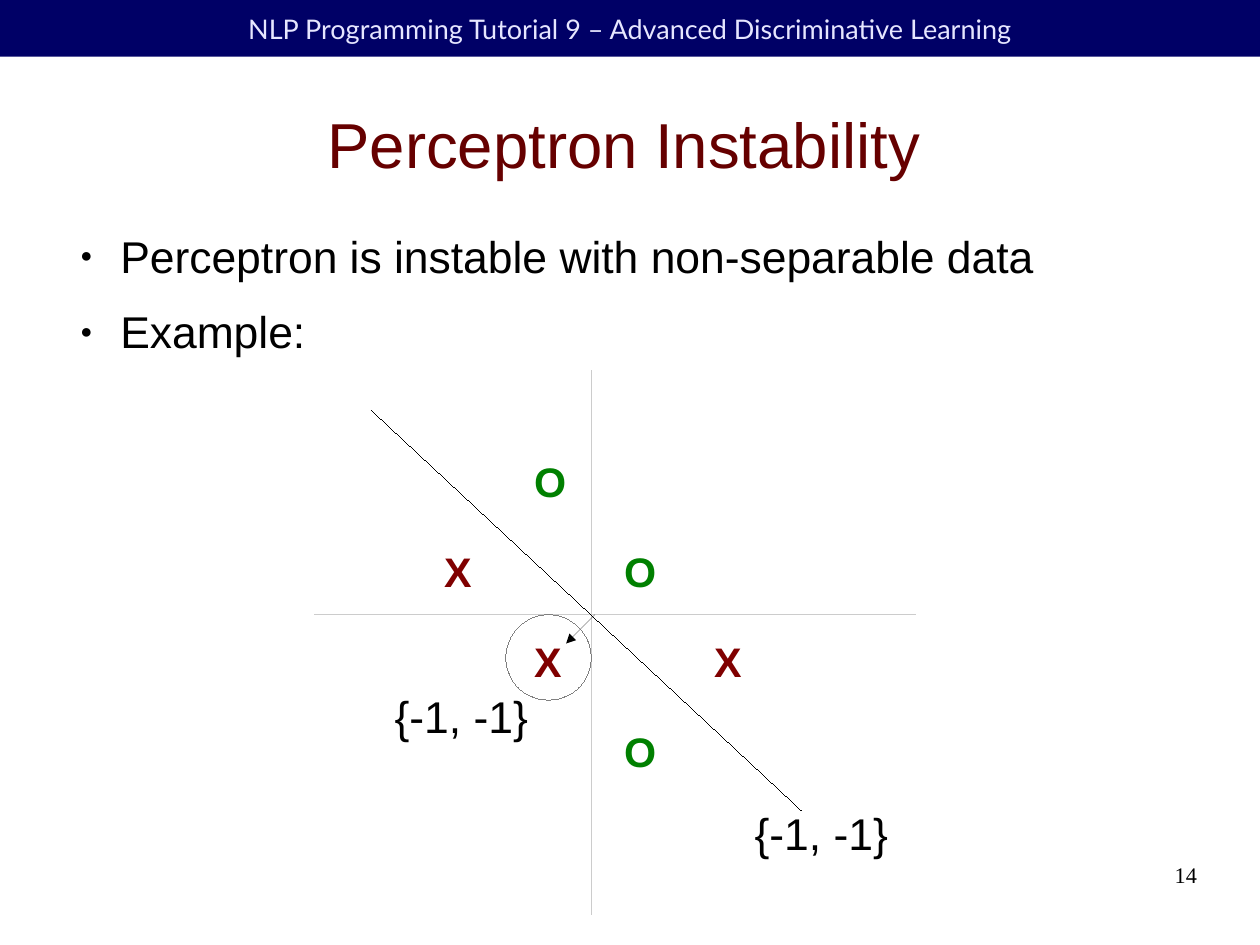
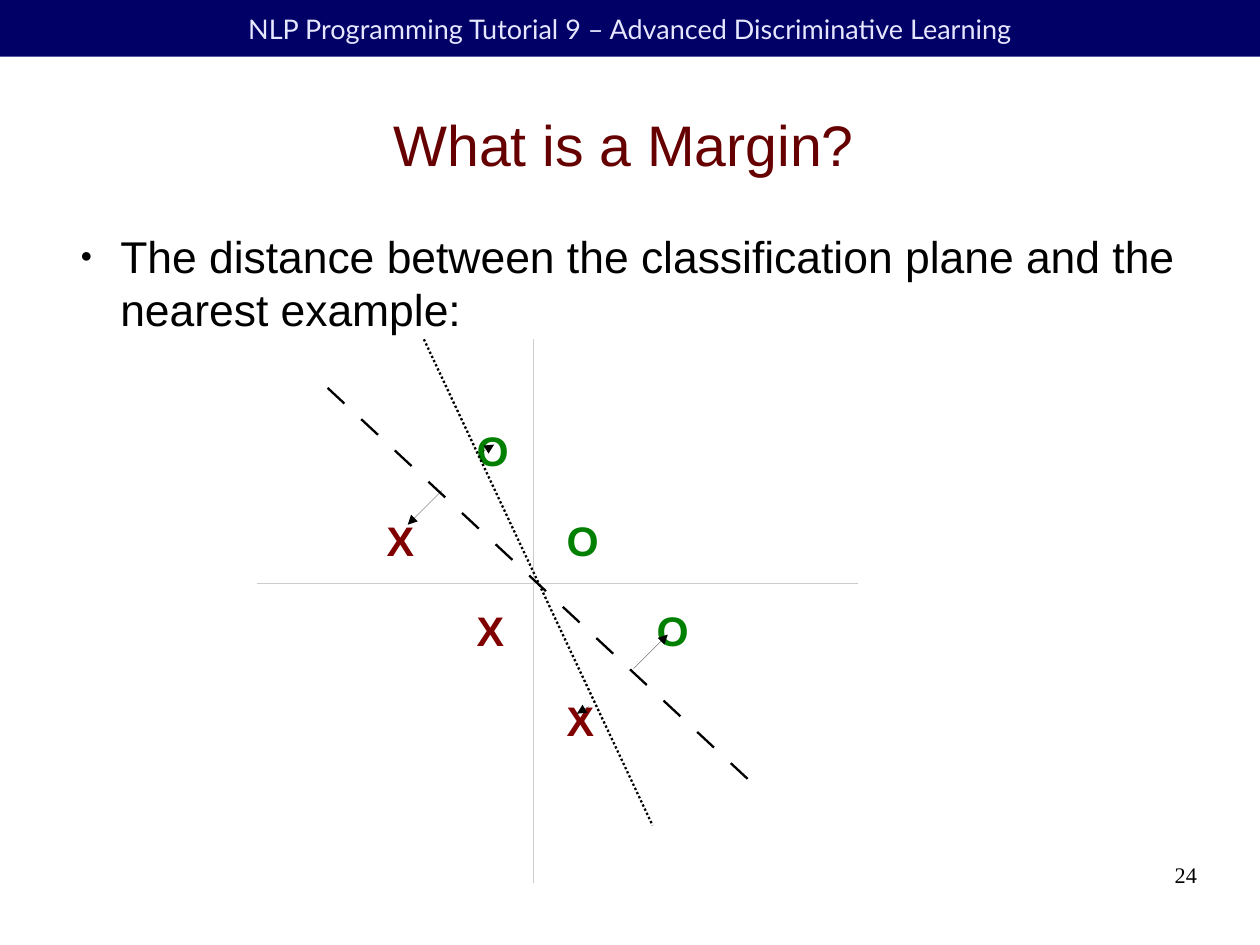
from dataclasses import dataclass
from typing import Optional

from lxml import etree
from pptx import Presentation
from pptx.dml.color import RGBColor
from pptx.enum.dml import MSO_LINE
from pptx.enum.shapes import MSO_CONNECTOR, MSO_SHAPE
from pptx.enum.text import MSO_ANCHOR, PP_ALIGN
from pptx.oxml.ns import qn
from pptx.util import Cm, Inches, Pt

STRAIGHT = MSO_CONNECTOR.STRAIGHT
RECTANGLE, OVAL = MSO_SHAPE.RECTANGLE, MSO_SHAPE.OVAL
LEFT, CENTER, RIGHT = PP_ALIGN.LEFT, PP_ALIGN.CENTER, PP_ALIGN.RIGHT
TOP, MIDDLE = MSO_ANCHOR.TOP, MSO_ANCHOR.MIDDLE
DOTTED = MSO_LINE.ROUND_DOT

WIDTH, HEIGHT = Cm(28), Cm(21)
COLUMNS = 14
CELL = WIDTH / COLUMNS
HEADER = "NLP Programming Tutorial 9 – Advanced Discriminative Learning"


@dataclass(frozen=True)
class TextStyle:
    font: str
    size: float
    color: str
    bold: bool = False
    align: PP_ALIGN = LEFT


@dataclass(frozen=True)
class Theme:
    band: str = "000066"
    ink: str = "000000"
    axis: str = "CCCCCC"
    ring: str = "808080"
    hairline: float = 0
    heavy: float = 1.45
    header: TextStyle = TextStyle("Lato", 17, "E6E6FF", align=CENTER)
    body: TextStyle = TextStyle("Arial", 28, "000000")
    positive: TextStyle = TextStyle("Arial", 26, "008000", bold=True)
    negative: TextStyle = TextStyle("Arial", 26, "800000", bold=True)
    number: TextStyle = TextStyle("Times New Roman", 14, "000000", align=RIGHT)

    def title(self, size: float) -> TextStyle:
        return TextStyle("Arial", size, "660000", align=CENTER)


THEME = Theme()


@dataclass(frozen=True)
class Box:
    column: float
    row: float
    columns: float
    rows: float

    def emu(self) -> list[int]:
        return [cells(v) for v in (self.column, self.row, self.columns, self.rows)]


@dataclass(frozen=True)
class Point:
    column: float
    row: float


@dataclass(frozen=True)
class Stroke:
    start: Point
    end: Point
    color: str = THEME.ink
    width: float = THEME.hairline
    dash: Optional[MSO_LINE] = None
    long_dashes: bool = False
    arrow: bool = False


@dataclass(frozen=True)
class Mark:
    letter: str
    column: int
    row: int


@dataclass(frozen=True)
class Plot:
    origin: Point
    marks: list[Mark]
    strokes: list[Stroke]
    labels: list[Point]
    ring: Optional[Box] = None


@dataclass(frozen=True)
class Page:
    title: str
    title_size: float
    bullets: list[str]
    number: int
    plot: Plot


BAND_BOX = Box(0, 0, COLUMNS, 0.63)
TITLE_BOX = Box(0.63, 0.79, 12.6, 1.61)
BODY_BOX = Box(0.74, 2.54, 12.6, 1.35)
NUMBER_BOX = Box(10.04, 9.57, 3.26, 0.72)
FIRST_MARK = Point(-1.76, -1.82)
LABEL_TEXT = "{-1, -1}"
AXES = [
    Stroke(Point(0, -2.71), Point(0, 3.33), THEME.axis),
    Stroke(Point(-3.07, 0), Point(3.6, 0), THEME.axis),
]


def cells(count: float) -> int:
    return round(count * CELL)


def fill_text(shape, texts: list[str], style: TextStyle, anchor=TOP,
              inset: bool = False, wrap: bool = True, bullets: bool = False) -> None:
    frame = shape.text_frame
    frame.word_wrap = wrap
    frame.vertical_anchor = anchor
    frame.margin_left = frame.margin_right = Inches(0.1 if inset else 0)
    frame.margin_top = frame.margin_bottom = Inches(0.05 if inset else 0)
    for index, text in enumerate(texts):
        paragraph = frame.paragraphs[0] if index == 0 else frame.add_paragraph()
        paragraph.text = text
        paragraph.alignment = style.align
        if bullets:
            add_bullet(paragraph, style.font)
        font = paragraph.font
        font.name, font.size, font.bold = style.font, Pt(style.size), style.bold
        font.color.rgb = RGBColor.from_string(style.color)


def add_bullet(paragraph, typeface: str) -> None:
    paragraph.space_after = Pt(14.2)
    properties = paragraph._p.get_or_add_pPr()
    properties.set("marL", str(Inches(0.47)))
    properties.set("indent", str(Inches(-0.35)))
    color = etree.SubElement(properties, qn("a:buClr"))
    etree.SubElement(color, qn("a:srgbClr"), val=THEME.ink)
    etree.SubElement(properties, qn("a:buSzPct"), val="45000")
    etree.SubElement(properties, qn("a:buFont"), typeface=typeface)
    etree.SubElement(properties, qn("a:buChar"), char="●")


def add_text(slide, box: Box, texts: list[str], style: TextStyle, **options) -> None:
    fill_text(slide.shapes.add_textbox(*box.emu()), texts, style, **options)


def style_line(line, color: str, width: float):
    line.color.rgb = RGBColor.from_string(color)
    outline = line._get_or_add_ln()
    outline.set("w", str(Pt(width)))
    return outline


def add_stroke(slide, origin: Point, stroke: Stroke) -> None:
    ends = [cells(value) for point in (stroke.start, stroke.end)
            for value in (origin.column + point.column, origin.row + point.row)]
    connector = slide.shapes.add_connector(STRAIGHT, *ends)
    outline = style_line(connector.line, stroke.color, stroke.width)
    if stroke.dash is not None:
        connector.line.dash_style = stroke.dash
    if stroke.long_dashes:
        dashes = etree.SubElement(outline, qn("a:custDash"))
        etree.SubElement(dashes, qn("a:ds"), d="1000000", sp="1000000")
    if stroke.arrow:
        etree.SubElement(outline, qn("a:tailEnd"), type="triangle")
    etree.SubElement(connector._element.spPr, qn("a:effectLst"))


def add_ring(slide, origin: Point, ring: Box) -> None:
    box = Box(origin.column + ring.column, origin.row + ring.row, ring.columns, ring.rows)
    shape = slide.shapes.add_shape(OVAL, *box.emu())
    shape.shadow.inherit = False
    shape.fill.background()
    style_line(shape.line, THEME.ring, THEME.hairline)


def add_plot(slide, plot: Plot) -> None:
    origin = plot.origin
    for mark in plot.marks:
        box = Box(origin.column + FIRST_MARK.column + mark.column,
                  origin.row + FIRST_MARK.row + mark.row, 0.6, 0.64)
        style = THEME.positive if mark.letter == "O" else THEME.negative
        add_text(slide, box, [mark.letter], style, inset=True, wrap=False)
    for stroke in AXES + plot.strokes:
        add_stroke(slide, origin, stroke)
    if plot.ring:
        add_ring(slide, origin, plot.ring)
    for label in plot.labels:
        box = Box(origin.column + label.column, origin.row + label.row, 1.74, 0.67)
        add_text(slide, box, [LABEL_TEXT], THEME.body, inset=True, wrap=False)


def add_header(slide) -> None:
    band = slide.shapes.add_shape(RECTANGLE, *BAND_BOX.emu())
    band.shadow.inherit = False
    band.fill.solid()
    band.fill.fore_color.rgb = RGBColor.from_string(THEME.band)
    band.line.fill.background()
    fill_text(band, [HEADER], THEME.header, anchor=MIDDLE, inset=True)


def add_page(presentation, page: Page) -> None:
    slide = presentation.slides.add_slide(presentation.slide_layouts[6])
    add_header(slide)
    add_text(slide, TITLE_BOX, [page.title], THEME.title(page.title_size), anchor=MIDDLE)
    add_text(slide, BODY_BOX, page.bullets, THEME.body, bullets=True)
    add_plot(slide, page.plot)
    add_text(slide, NUMBER_BOX, [str(page.number)], THEME.number)


PAGES = [
    Page(
        "Perceptron Instability", 40,
        ["Perceptron is instable with non-separable data", "Example:"], 14,
        Plot(
            Point(6.57, 6.83),
            [Mark("O", 1, 0), Mark("X", 1, 2), Mark("O", 2, 3),
             Mark("X", 0, 1), Mark("O", 2, 1), Mark("X", 3, 2)],
            [Stroke(Point(2.33, 2.17), Point(-2.44, -2.27)),
             Stroke(Point(0.04, 0), Point(-0.28, 0.32), arrow=True)],
            [Point(1.69, 2.06), Point(-2.31, 0.76)],
            Box(-0.95, 0, 0.95, 0.95),
        ),
    ),
    Page(
        "What is a Margin?", 36,
        ["The distance between the classification plane and the nearest example:"], 24,
        Plot(
            Point(5.93, 6.48),
            [Mark("O", 1, 0), Mark("X", 1, 2), Mark("O", 3, 2),
             Mark("X", 0, 1), Mark("O", 2, 1), Mark("X", 2, 3)],
            [Stroke(Point(-1.22, -2.71), Point(1.32, 2.69), width=THEME.heavy, dash=DOTTED),
             Stroke(Point(-2.29, -2.17), Point(2.48, 2.27), width=THEME.heavy, long_dashes=True),
             Stroke(Point(-1.02, -1.03), Point(-1.4, -0.65), arrow=True),
             Stroke(Point(1.11, 0.95), Point(1.49, 0.57), arrow=True),
             Stroke(Point(-0.57, -1.46), Point(-0.44, -1.54), arrow=True),
             Stroke(Point(0.61, 1.37), Point(0.48, 1.45), arrow=True)],
            [],
        ),
    ),
]


def main() -> None:
    presentation = Presentation()
    presentation.slide_width, presentation.slide_height = WIDTH, HEIGHT
    for page in PAGES:
        add_page(presentation, page)
    presentation.save("out.pptx")


if __name__ == "__main__":
    main()
